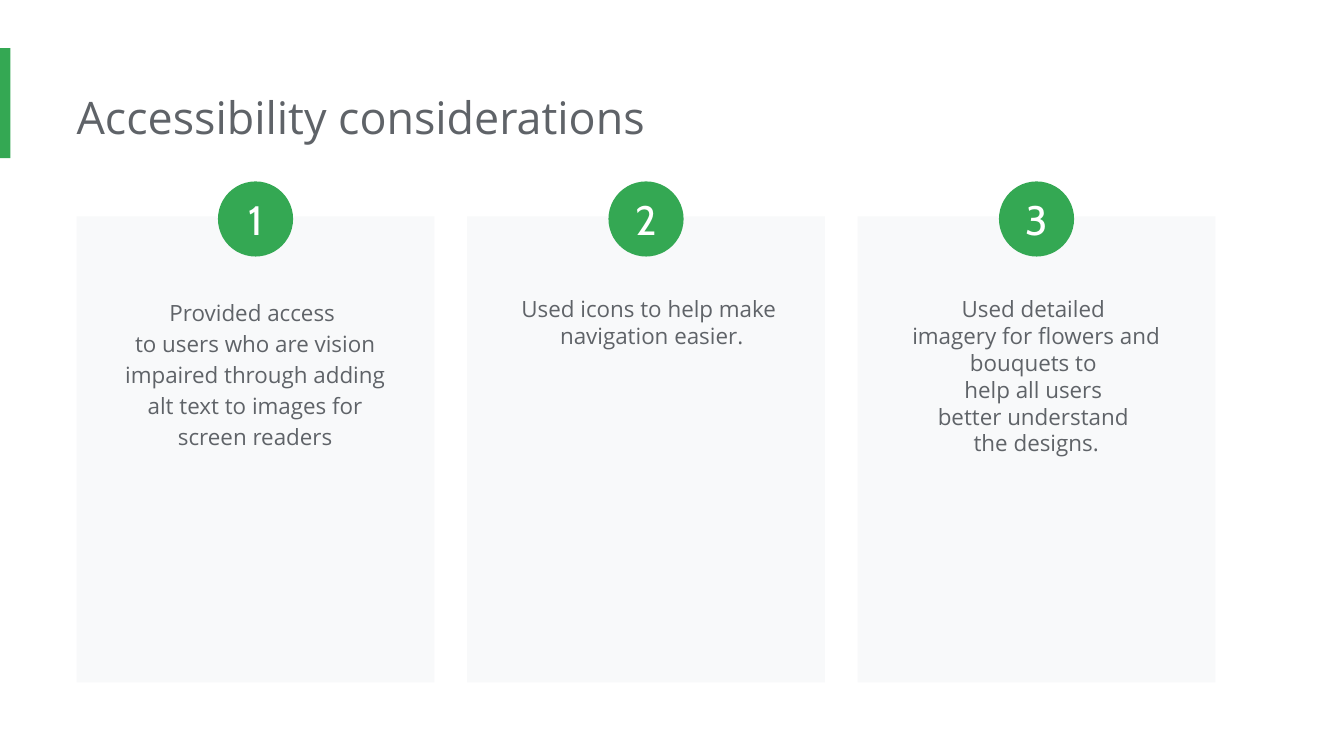
from copy import deepcopy
from dataclasses import dataclass

from pptx import Presentation
from pptx.dml.color import RGBColor as Color
from pptx.enum.shapes import MSO_SHAPE as Shape
from pptx.enum.text import MSO_ANCHOR as Anchor, PP_ALIGN as Align
from pptx.util import Cm, Pt

TITLE = "Accessibility considerations"
CARDS = [
    {"text": "Provided access \nto users who are vision impaired through adding "
             "alt text to images for screen readers",
     "width": 5.69, "spacing": 1.15},
    {"text": "Used icons to help make \nnavigation easier.",
     "width": 5.92, "spacing": 1.0},
    {"text": "Used detailed \nimagery for flowers and bouquets to \nhelp all users \n"
             "better understand \nthe designs.",
     "width": 5.69, "spacing": 1.0},
]


@dataclass(frozen=True)
class Theme:
    green: str = "34A853"
    panel: str = "F8F9FA"
    ink: str = "5F6368"
    white: str = "FFFFFF"
    text_font: str = "Open Sans"
    number_font: str = "Cabin"
    title_size: int = 24
    body_size: int = 12
    number_size: int = 22


THEME = Theme()
LEFT, PITCH = 1.45, 7.38
CARD_TOP, CARD_WIDTH, CARD_HEIGHT = 4.09, 6.76, 8.81
BADGE_TOP, BADGE_SIZE = 3.43, 1.42
TEXT_TOP, TEXT_INSET = 5.33, 0.53
MARGIN = 0.25


def add_block(page, kind, left, top, width, height, color):
    block = page.shapes.add_shape(kind, Cm(left), Cm(top), Cm(width), Cm(height))
    block.shadow.inherit = False
    block.fill.solid()
    block.fill.fore_color.rgb = Color.from_string(color)
    block.line.fill.background()
    return block


def write(box, text, *, size, font=THEME.text_font, color=THEME.ink, align=Align.LEFT,
          anchor=Anchor.TOP, spacing=1.0, margins=(MARGIN,) * 4):
    frame = box.text_frame
    frame.word_wrap = True
    frame.vertical_anchor = anchor
    (frame.margin_left, frame.margin_top,
     frame.margin_right, frame.margin_bottom) = map(Cm, margins)
    para = frame.paragraphs[0]
    para.text = text
    para.alignment = align
    para.line_spacing = spacing
    for span in para.runs:
        span.font.name = font
        span.font.size = Pt(size)
        span.font.color.rgb = Color.from_string(color)
    for line_break in para._p.findall("{*}br"):
        line_break.append(deepcopy(para.runs[0]._r.rPr))


def add_text(page, left, top, width, height, text, **style):
    box = page.shapes.add_textbox(Cm(left), Cm(top), Cm(width), Cm(height))
    write(box, text, **style)


def main():
    deck = Presentation()
    deck.slide_width, deck.slide_height = Cm(25.4), Cm(14.29)
    page = deck.slides.add_slide(deck.slide_layouts[6])

    add_block(page, Shape.RECTANGLE, 0, 0.91, 0.2, 2.08, THEME.green)
    add_text(page, LEFT, 1.45, 19.46, 1.55, TITLE, size=THEME.title_size,
             margins=(0, MARGIN, MARGIN, MARGIN))

    for index, card in enumerate(CARDS):
        left = LEFT + index * PITCH
        add_block(page, Shape.RECTANGLE, left, CARD_TOP, CARD_WIDTH, CARD_HEIGHT, THEME.panel)
        add_text(page, left + TEXT_INSET, TEXT_TOP, card["width"], 3.45, card["text"],
                 size=THEME.body_size, align=Align.CENTER, spacing=card["spacing"])
        badge = add_block(page, Shape.OVAL, left + (CARD_WIDTH - BADGE_SIZE) / 2, BADGE_TOP,
                          BADGE_SIZE, BADGE_SIZE, THEME.green)
        write(badge, str(index + 1), size=THEME.number_size, font=THEME.number_font,
              color=THEME.white, align=Align.CENTER, anchor=Anchor.MIDDLE, margins=(0,) * 4)

    deck.save("out.pptx")


if __name__ == "__main__":
    main()
